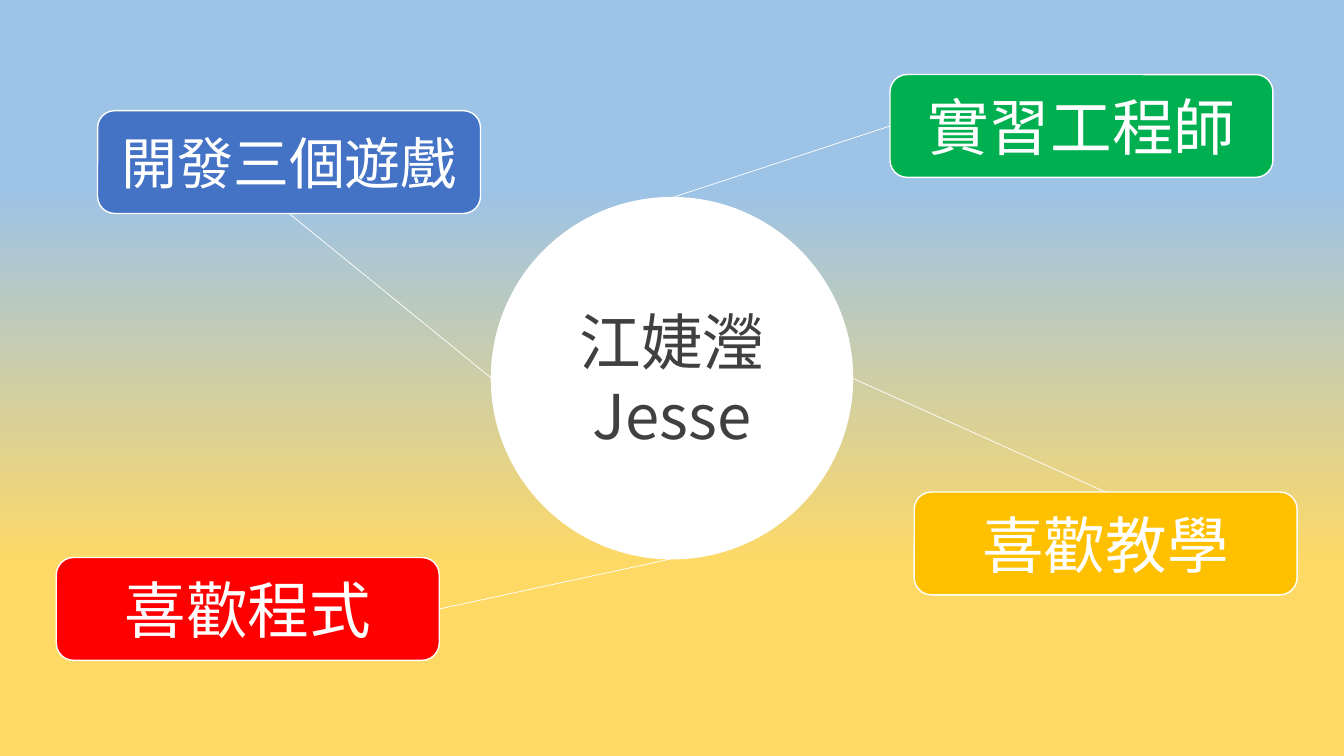
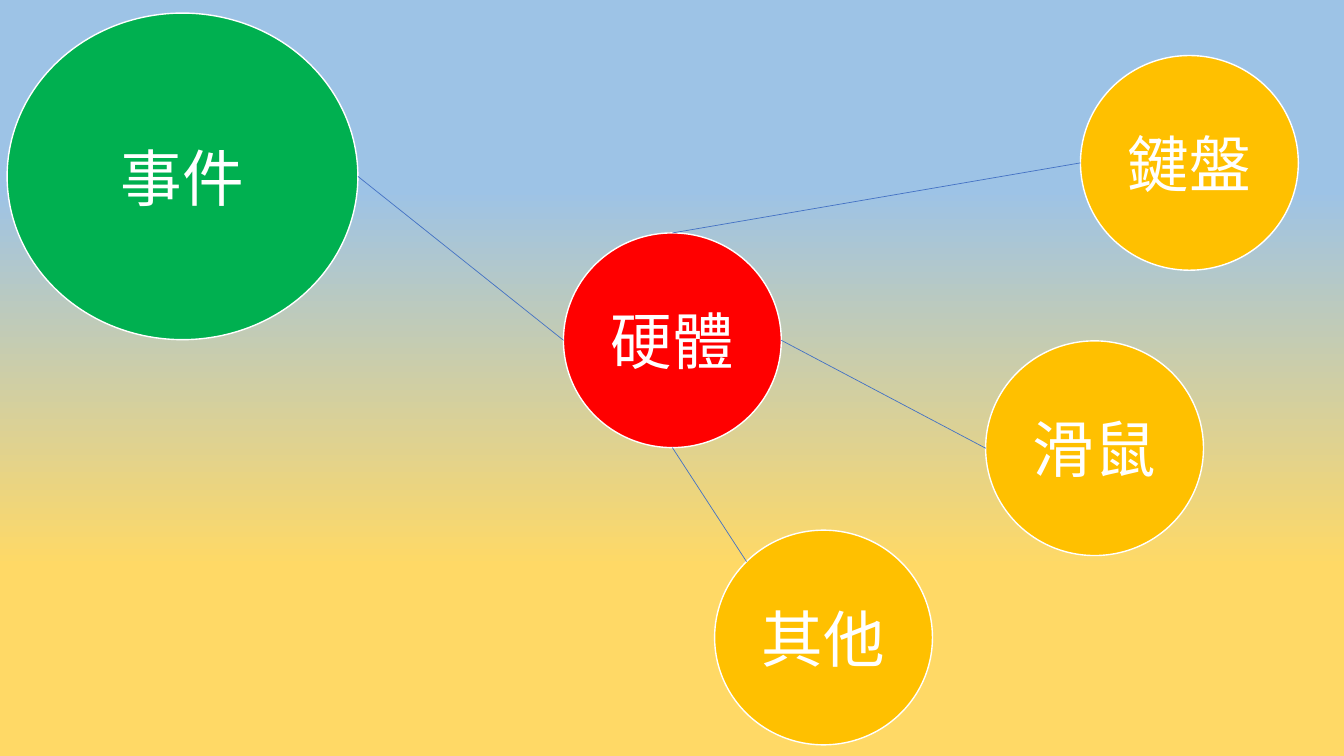
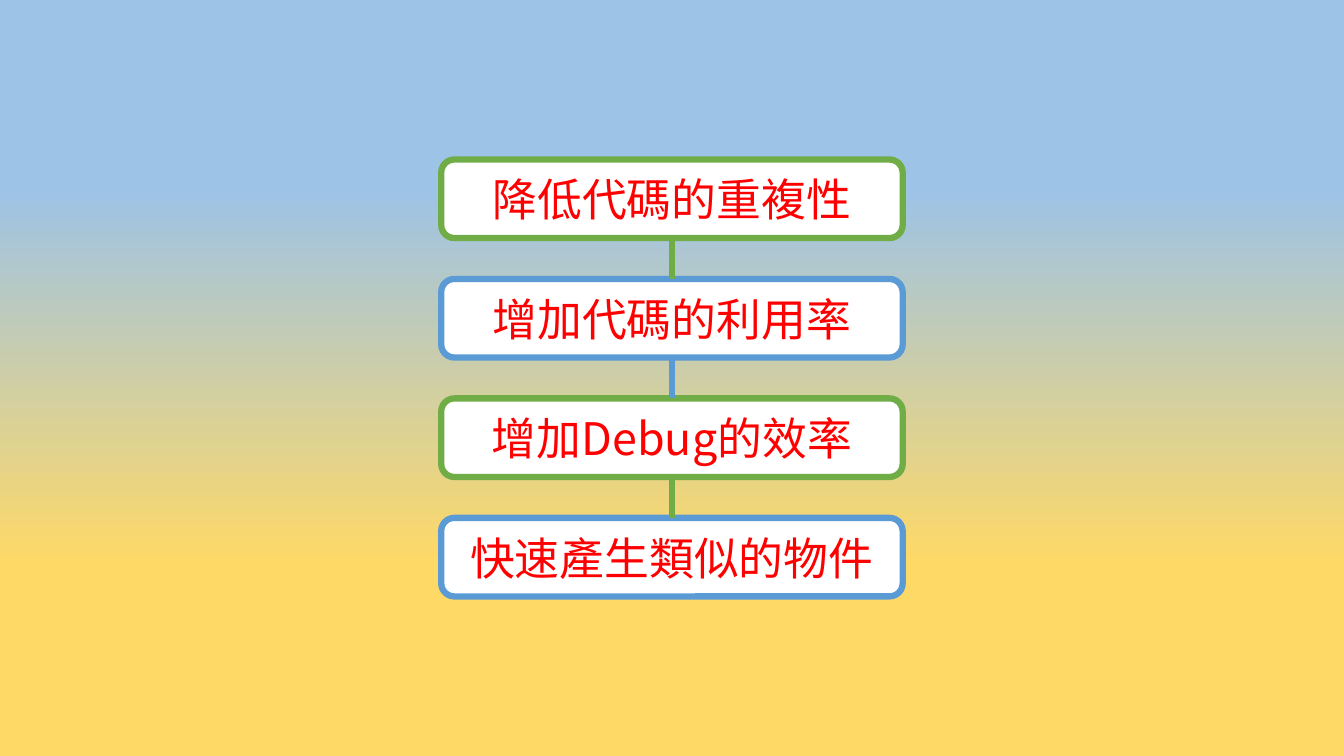
"""Builds three mind-map slides on a shared gradient background."""
import math

from lxml import etree
from pptx import Presentation
from pptx.dml.color import RGBColor
from pptx.enum.shapes import MSO_CONNECTOR, MSO_SHAPE
from pptx.enum.text import MSO_ANCHOR, PP_ALIGN
from pptx.oxml.ns import qn
from pptx.util import Cm, Pt

BOX = MSO_SHAPE.ROUNDED_RECTANGLE
CIRCLE = MSO_SHAPE.OVAL
STRAIGHT = MSO_CONNECTOR.STRAIGHT
MIDDLE = MSO_ANCHOR.MIDDLE
CENTER = PP_ALIGN.CENTER

TOP, LEFT, BOTTOM, RIGHT, UPPER_LEFT = range(5)
DIAGONAL = 0.5 - math.sqrt(2) / 4
SIDE_FRACTIONS = {
    TOP: (0.5, 0),
    LEFT: (0, 0.5),
    BOTTOM: (0.5, 1),
    RIGHT: (1, 0.5),
    UPPER_LEFT: (DIAGONAL, DIAGONAL),
}

COLORS = {
    "sky": "9DC3E6",
    "sand": "FFD966",
    "white": "FFFFFF",
    "ink": "404040",
    "green": "00B050",
    "red": "FF0000",
    "blue": "4472C4",
    "gold": "FFC000",
    "leaf": "70AD47",
    "azure": "5B9BD5",
}
BACKGROUND_STOPS = [(0, "sky"), (25, "sky"), (75, "sand"), (100, "sand")]
FONT = "Noto Sans CJK SC"
FRAME_FORMAT = {"word_wrap": True, "vertical_anchor": MIDDLE}
SLIDE_WIDTH, SLIDE_HEIGHT = 33.87, 19.05


def rgb(color):
    return RGBColor.from_string(COLORS[color])


class Deck:
    def __init__(self):
        self.prs = Presentation()
        self.prs.slide_width = Cm(SLIDE_WIDTH)
        self.prs.slide_height = Cm(SLIDE_HEIGHT)
        self.slide = None
        self.paint_background()

    def paint_background(self):
        master = self.prs.slide_master
        fill = master.background.fill
        fill.gradient()
        fill.gradient_angle = 270
        stops = master.element.find(".//" + qn("a:gsLst"))
        for stop in list(stops):
            stops.remove(stop)
        for percent, color in BACKGROUND_STOPS:
            stop = etree.SubElement(stops, qn("a:gs"), pos=str(percent * 1000))
            etree.SubElement(stop, qn("a:srgbClr"), val=COLORS[color])

    def new_slide(self):
        self.slide = self.prs.slides.add_slide(self.prs.slide_layouts[6])

    def node(self, kind, text, place, fill, size=44, ink="white",
             border="white", border_width=1):
        node = self.slide.shapes.add_shape(kind, *map(Cm, place))
        node.shadow.inherit = False
        node.fill.solid()
        node.fill.fore_color.rgb = rgb(fill)
        node.line.color.rgb = rgb(border)
        node.line.width = Pt(border_width)
        frame = node.text_frame
        for name, value in FRAME_FORMAT.items():
            setattr(frame, name, value)
        frame.text = text
        for paragraph in frame.paragraphs:
            paragraph.alignment = CENTER
            for run in paragraph.runs:
                self.style_run(run, size, ink)
        return node

    def style_run(self, run, size, ink):
        for name, value in {"name": FONT, "size": Pt(size)}.items():
            setattr(run.font, name, value)
        run.font.color.rgb = rgb(ink)
        etree.SubElement(run.font._element, qn("a:ea"), typeface=FONT)

    def link(self, start, start_side, end, end_side, color, width=0.5):
        points = []
        for node, side in ((start, start_side), (end, end_side)):
            across, down = SIDE_FRACTIONS[side]
            points += [round(node.left + across * node.width),
                       round(node.top + down * node.height)]
        link = self.slide.shapes.add_connector(STRAIGHT, *points)
        link.line.color.rgb = rgb(color)
        link.line.width = Pt(width)
        etree.SubElement(link._element.spPr, qn("a:effectLst"))
        if start.auto_shape_type == BOX:
            link.begin_connect(start, start_side)
        if end.auto_shape_type == BOX:
            link.end_connect(end, end_side)


def build_profile(deck):
    deck.new_slide()
    diameter = 9.1
    person = deck.node(
        CIRCLE, "江婕瀅\nJesse",
        ((SLIDE_WIDTH - diameter) / 2, 4.98, diameter, diameter),
        "white", ink="ink")
    facts = [
        ("實習工程師", 22.43, 1.88, "green", 44, LEFT, TOP),
        ("喜歡程式", 1.42, 14.05, "red", 44, RIGHT, BOTTOM),
        ("開發三個遊戲", 2.46, 2.79, "blue", 40, BOTTOM, LEFT),
        ("喜歡教學", 23.04, 12.4, "gold", 44, TOP, RIGHT),
    ]
    for text, left, top, fill, size, fact_side, person_side in facts:
        fact = deck.node(BOX, text, (left, top, 9.65, 2.59), fill, size)
        deck.link(fact, fact_side, person, person_side, "white")


def build_events(deck):
    deck.new_slide()
    width, height = 5.49, 5.41
    hardware = deck.node(CIRCLE, "硬體", (14.2, 5.87, width, height), "red")
    event = deck.node(CIRCLE, "事件", (0.18, 0.33, 8.84, 8.23), "green")
    deck.link(event, RIGHT, hardware, LEFT, "blue")
    devices = [
        ("鍵盤", 27.23, 1.4, TOP, LEFT),
        ("滑鼠", 24.84, 8.59, RIGHT, LEFT),
        ("其他", 18.01, 13.36, BOTTOM, UPPER_LEFT),
    ]
    for text, left, top, hardware_side, device_side in devices:
        device = deck.node(CIRCLE, text, (left, top, width, height), "gold")
        deck.link(hardware, hardware_side, device, device_side, "blue")


def build_benefits(deck):
    deck.new_slide()
    width, height, first_top, pitch = 11.63, 1.98, 4.02, 3.01
    texts = ["降低代碼的重複性", "增加代碼的利用率",
             "增加Debug的效率", "快速產生類似的物件"]
    borders = ["leaf", "azure"] * 2
    benefits = [
        deck.node(BOX, text,
                  ((SLIDE_WIDTH - width) / 2, first_top + row * pitch, width, height),
                  "white", 32, "red", border, 4.5)
        for row, (text, border) in enumerate(zip(texts, borders))
    ]
    for upper, lower, color in zip(benefits, benefits[1:], borders):
        deck.link(upper, BOTTOM, lower, TOP, color, 4.5)


def main():
    deck = Deck()
    build_profile(deck)
    build_events(deck)
    build_benefits(deck)
    deck.prs.save("out.pptx")


if __name__ == "__main__":
    main()
